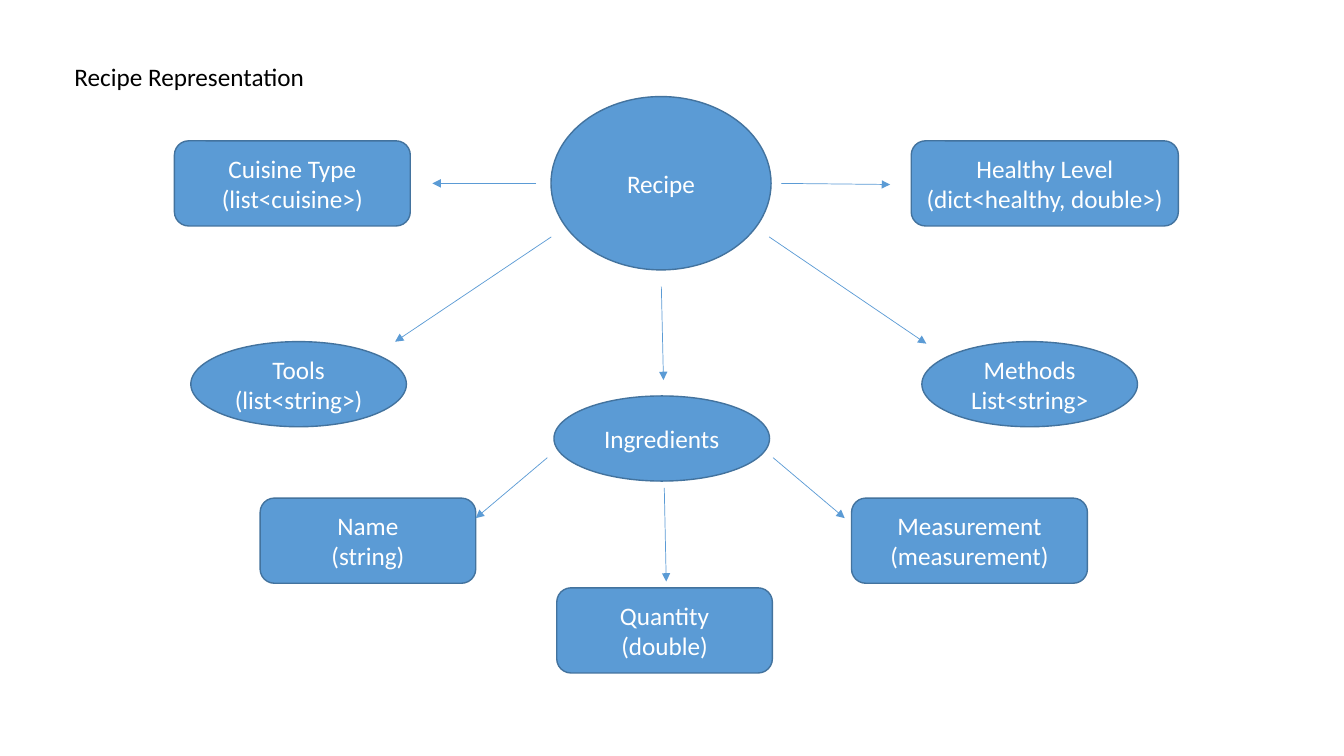
from dataclasses import dataclass

from lxml.etree import SubElement
from pptx import Presentation
from pptx.dml.color import RGBColor
from pptx.enum.shapes import MSO_CONNECTOR, MSO_SHAPE
from pptx.enum.text import MSO_ANCHOR, MSO_AUTO_SIZE, PP_ALIGN
from pptx.oxml.ns import qn
from pptx.slide import Slide
from pptx.text.text import TextFrame
from pptx.util import Pt


@dataclass(frozen=True)
class Theme:
    font: str = "Calibri"
    text_size: float = 18
    fill: RGBColor = RGBColor(0x5B, 0x9B, 0xD5)
    outline: RGBColor = RGBColor(0x43, 0x73, 0x9E)
    node_text: RGBColor = RGBColor(0xFF, 0xFF, 0xFF)
    title_text: RGBColor = RGBColor(0x00, 0x00, 0x00)
    outline_width: float = 1
    arrow_width: float = 0.5


@dataclass(frozen=True)
class Node:
    text: str
    kind: MSO_SHAPE
    left: float
    top: float
    width: float = 154
    height: float = 60.8


@dataclass(frozen=True)
class Arrow:
    start: tuple[float, float]
    end: tuple[float, float]


THEME = Theme()
OVAL, BOX = MSO_SHAPE.OVAL, MSO_SHAPE.ROUNDED_RECTANGLE

# Rows shared by several nodes
ATTRIBUTE_TOP, PART_TOP, DETAIL_TOP = 100.6, 244, 355.8
WIDE = 168.5

NODES = [
    Node("Recipe", OVAL, 393.6, 69, 157.2, 123.8),
    Node("Tools\n(list<string>)", OVAL, 136.3, PART_TOP),
    Node("Methods\nList<string>", OVAL, 658.5, PART_TOP),
    Node("Ingredients", OVAL, 395.7, 282.8),
    Node("Quantity\n(double)", BOX, 397.7, 419.9),
    Node("Measurement\n(measurement)", BOX, 608.3, DETAIL_TOP, WIDE),
    Node("Name\n(string)", BOX, 185.8, DETAIL_TOP),
    Node("Healthy Level\n(dict<healthy, double>)", BOX, 650.9, ATTRIBUTE_TOP, 190.8),
    Node("Cuisine Type\n(list<cuisine>)", BOX, 124.6, ATTRIBUTE_TOP, WIDE),
]

ARROWS = [
    # From Recipe
    Arrow((472.4, 204.8), (473.9, 271.5)),
    Arrow((549.4, 169.2), (661.7, 245.5)),
    Arrow((393.8, 169.2), (282.2, 244.1)),
    Arrow((383, 131), (308.9, 131)),
    Arrow((558, 131), (635.8, 131.8)),
    # From Ingredients
    Arrow((474.5, 348.5), (475.9, 415.4)),
    Arrow((552.2, 326.9), (603.4, 370.1)),
    Arrow((391, 326.9), (339.8, 370.1)),
]


def write_text(frame: TextFrame, text: str, color: RGBColor, alignment: PP_ALIGN) -> None:
    frame.text = text
    for paragraph in frame.paragraphs:
        paragraph.alignment = alignment
        for run in paragraph.runs:
            run.font.name = THEME.font
            run.font.size = Pt(THEME.text_size)
            run.font.color.rgb = color


def draw_node(slide: Slide, node: Node) -> None:
    shape = slide.shapes.add_shape(
        node.kind, Pt(node.left), Pt(node.top), Pt(node.width), Pt(node.height)
    )
    shape.shadow.inherit = False
    shape.fill.solid()
    shape.fill.fore_color.rgb = THEME.fill
    shape.line.color.rgb = THEME.outline
    shape.line.width = Pt(THEME.outline_width)
    shape.text_frame.word_wrap = True
    shape.text_frame.vertical_anchor = MSO_ANCHOR.MIDDLE
    write_text(shape.text_frame, node.text, THEME.node_text, PP_ALIGN.CENTER)


def draw_arrow(slide: Slide, arrow: Arrow) -> None:
    connector = slide.shapes.add_connector(
        MSO_CONNECTOR.STRAIGHT, *(Pt(value) for value in arrow.start + arrow.end)
    )
    connector.line.color.rgb = THEME.fill
    connector.line.width = Pt(THEME.arrow_width)
    # Arrowhead at the end, and no shadow
    SubElement(connector.line._get_or_add_ln(), qn("a:tailEnd"), type="triangle")
    SubElement(connector._element.spPr, qn("a:effectLst"))


def draw_title(slide: Slide, text: str) -> None:
    text_box = slide.shapes.add_textbox(Pt(46.1), Pt(40.3), Pt(180.7), Pt(29))
    text_box.text_frame.word_wrap = False
    text_box.text_frame.auto_size = MSO_AUTO_SIZE.SHAPE_TO_FIT_TEXT
    write_text(text_box.text_frame, text, THEME.title_text, PP_ALIGN.LEFT)


def main() -> None:
    presentation = Presentation()
    presentation.slide_width, presentation.slide_height = Pt(960), Pt(540)
    slide = presentation.slides.add_slide(presentation.slide_layouts[6])
    draw_title(slide, "Recipe Representation")
    for node in NODES:
        draw_node(slide, node)
    for arrow in ARROWS:
        draw_arrow(slide, arrow)
    presentation.save("out.pptx")


if __name__ == "__main__":
    main()
